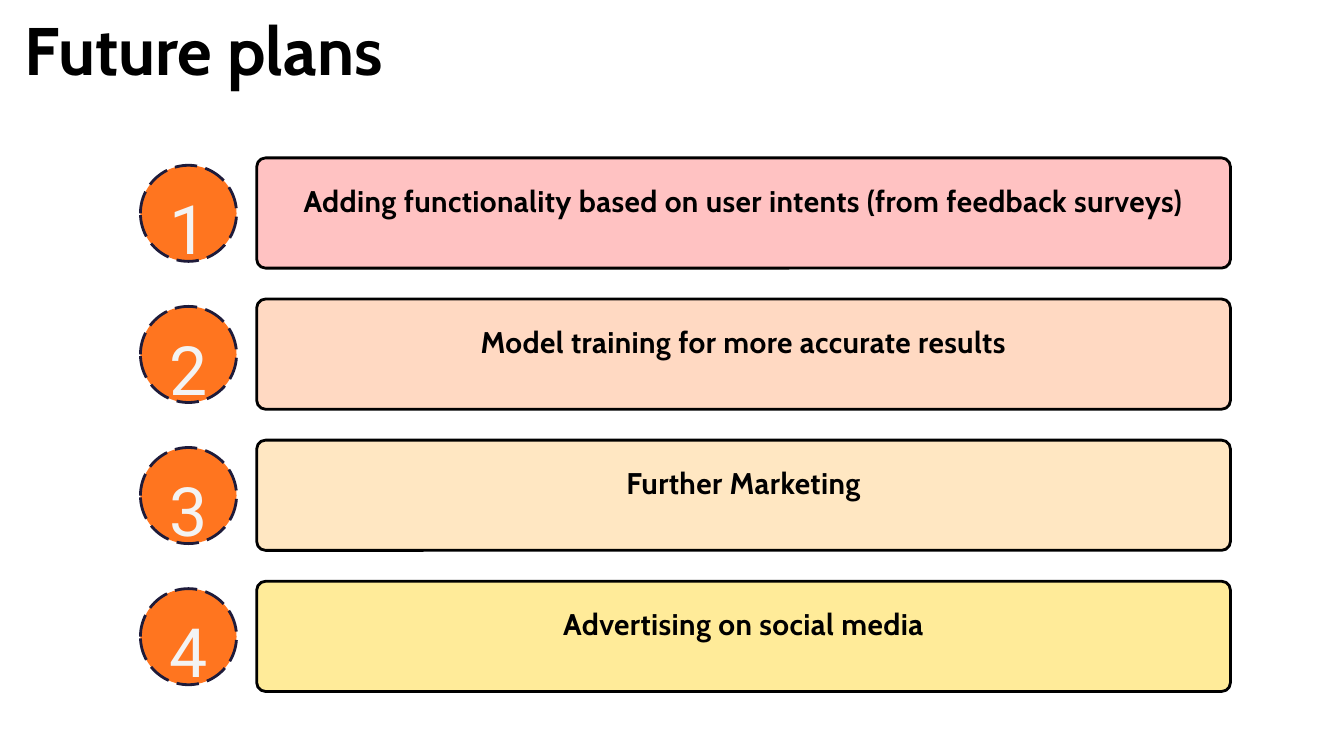
from typing import NamedTuple

from pptx import Presentation
from pptx.dml.color import RGBColor
from pptx.enum.dml import MSO_LINE as Dash
from pptx.enum.shapes import MSO_SHAPE as Kind
from pptx.enum.text import MSO_ANCHOR as Anchor, PP_ALIGN as Align
from pptx.util import Inches, Pt

WIDE, HIGH = 20, 11.25
TOP, PITCH = 2.35, 2.1  # first row and row step
BAR_X, BAR_W, BAR_H = 3.82, 14.49, 1.64
DISC_X, DISC = 2.09, 1.43


class Box(NamedTuple):
    x: float
    y: float
    w: float
    h: float

    def emu(self) -> list[int]:
        return [Inches(v) for v in self]


class Style(NamedTuple):
    face: str
    size: float
    lead: float
    hue: str
    bold: bool = False
    track: int = 0  # hundredths of a point
    align: Align = Align.CENTER
    anchor: Anchor = Anchor.TOP
    inset: float = 0


class Plan(NamedTuple):
    text: str
    hue: str


TITLE = Style("Cabin", 72, 100.8, "000000", True, align=Align.LEFT)
LABEL = Style("Cabin", 32, 44.8, "000000", True, 40,
              anchor=Anchor.MIDDLE, inset=0.06)
DIGIT = Style("Roboto", 72.8, 102, "F3F3F3", track=90)

PLANS = [
    Plan("Adding functionality based on user intents (from feedback surveys)",
         "FFC2C2"),
    Plan("Model training for more accurate results", "FFD9C2"),
    Plan("Further Marketing", "FFE7C2"),
    Plan("Advertising on social media", "FFEB99"),
]


def color(code: str) -> RGBColor:
    return RGBColor.from_string(code)


def add_form(slide, kind: Kind, box: Box, fill: str, edge: str):
    form = slide.shapes.add_shape(kind, *box.emu())
    form.shadow.inherit = False
    form.fill.solid()
    form.fill.fore_color.rgb = color(fill)
    form.line.color.rgb = color(edge)
    form.line.width = Pt(3)
    return form


def add_text(slide, box: Box, text: str, style: Style) -> None:
    frame = slide.shapes.add_textbox(*box.emu()).text_frame
    frame.word_wrap = True
    frame.vertical_anchor = style.anchor
    frame.margin_left = frame.margin_right = Inches(style.inset)
    frame.margin_top = frame.margin_bottom = Inches(style.inset)
    para = frame.paragraphs[0]
    para.alignment = style.align
    para.line_spacing = Pt(style.lead)
    font = para.font
    font.name, font.size, font.bold = style.face, Pt(style.size), style.bold
    font.color.rgb = color(style.hue)
    run = para.add_run()
    run.text = text
    if style.track:
        run._r.get_or_add_rPr().set("spc", str(style.track))


def add_plan(slide, row: int, plan: Plan) -> None:
    y = TOP + row * PITCH
    bar = add_form(slide, Kind.ROUNDED_RECTANGLE,
                   Box(BAR_X, y, BAR_W, BAR_H), plan.hue, "000000")
    bar.adjustments[0] = 0.08
    add_text(slide, Box(BAR_X, y - 0.47, BAR_W, BAR_H + 0.47),
             plan.text, LABEL)
    disc = add_form(slide, Kind.OVAL,
                    Box(DISC_X, y + 0.11, DISC, DISC), "FF751F", "1E1B3A")
    disc.line.dash_style = Dash.LONG_DASH
    add_text(slide, Box(DISC_X, y + 0.22, DISC, 1.31), str(row + 1), DIGIT)


def main() -> None:
    deck = Presentation()
    deck.slide_width, deck.slide_height = Inches(WIDE), Inches(HIGH)
    slide = deck.slides.add_slide(deck.slide_layouts[6])
    add_text(slide, Box(0.37, -0.07, 5.96, 1.52), "Future plans", TITLE)
    for row, plan in enumerate(PLANS):
        add_plan(slide, row, plan)
    deck.save("out.pptx")


if __name__ == "__main__":
    main()
